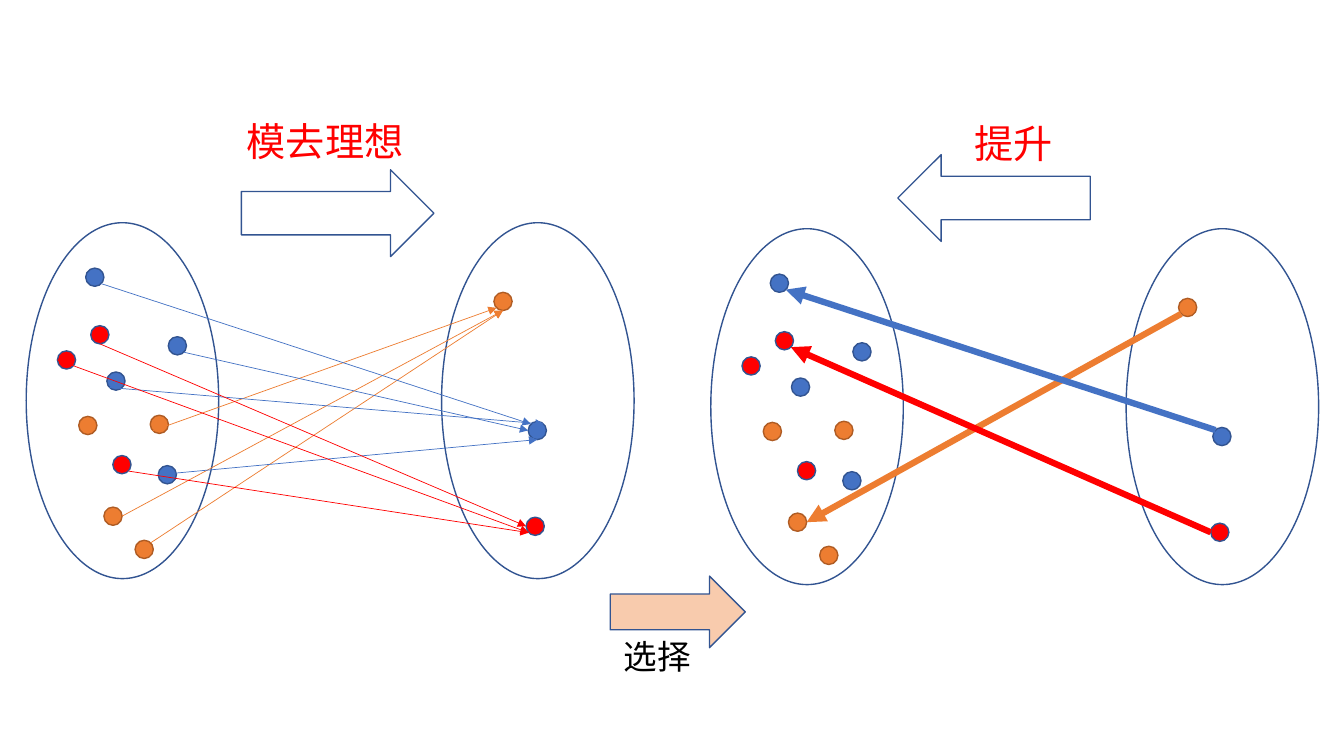
from math import cos, radians, sin

from lxml.etree import SubElement
from pptx import Presentation
from pptx.dml.color import RGBColor
from pptx.enum.shapes import MSO_CONNECTOR as Connector, MSO_SHAPE as Shape
from pptx.enum.text import MSO_ANCHOR as Anchor
from pptx.oxml.ns import qn
from pptx.util import Pt

COLORS = {"blue": "4472C4", "orange": "ED7D31", "red": "FF0000", "peach": "F8CBAD",
          "outline": "325491", "rust": "AF5C24", "black": "000000"}
FONT = "Noto Sans CJK SC"
DOT = 13
SET_SIZE = (137.5, 254.2)
SETS = [(18.7, 159.1), (315.4, 159.1)]
PANELS = {"reduce": (0, 0), "lift": (489, 4.3)}
SOURCES = {
    "blue": [(61.2, 191.5), (113, 332.6), (76.3, 265.7), (120.2, 240.5)],
    "orange": [(96.5, 385.9), (74.2, 362.2), (107.3, 296.6), (56.2, 297.4)],
    "red": [(41, 250.6), (64.8, 232.6), (80.6, 325.4)],
}
TARGETS = {"red": (375.8, 369.4), "blue": (377.3, 301), "orange": (352.8, 208.8)}
ANGLES = {"right": 0, "lower right": 45, "bottom": 90, "lower left": 135,
          "left": 180, "upper left": 225, "upper right": 315}
REDUCE_LINKS = [
    ("orange", 2, "lower left", "lower left"), ("orange", 1, "right", "bottom"),
    ("orange", 0, "upper right", "bottom"), ("blue", 0, "lower right", "upper left"),
    ("blue", 3, "lower right", "left"), ("blue", 2, "lower left", "upper right"),
    ("blue", 1, "left", "bottom"), ("red", 1, "bottom", "left"),
    ("red", 2, "lower right", "lower left"), ("red", 0, "left", "lower left"),
]
LIFT_LINKS = [("orange", 1, "right", "lower left"),
              ("blue", 0, "lower right", "upper left"),
              ("red", 1, "lower right", "left")]
BLOCK_ARROWS = [((210.2, 83.5, 62, 137.5), 270, None),
                ((458.6, 388.8, 51.1, 96.5), 270, "peach"),
                ((679, 72.7, 62, 137.5), 90, None)]
LABELS = [("选择", (438.5, 450.7, 69.1, 36), 24, "black"),
          ("提升", (689, 81.4, 87.1, 41), 28, "red"),
          ("模去理想", (169.2, 79.9, 131, 41), 28, "red")]


def rgb(name):
    return RGBColor.from_string(COLORS[name])


def add_outlined(s, kind, box, fill=None, line="outline", rotation=0):
    sp = s.shapes.add_shape(kind, *map(Pt, box))
    sp.shadow.inherit = False
    sp.rotation = rotation
    sp.line.color.rgb = rgb(line)
    sp.line.width = Pt(1)
    if fill:
        sp.fill.solid()
        sp.fill.fore_color.rgb = rgb(fill)
    else:
        sp.fill.background()


def add_text(s, text, *, box, size, color):
    tf = s.shapes.add_textbox(*map(Pt, box)).text_frame
    tf.word_wrap = True
    tf.vertical_anchor = Anchor.MIDDLE
    r = tf.paragraphs[0].add_run()
    r.text = text
    r.font.size = Pt(size)
    r.font.name = FONT
    r.font.color.rgb = rgb(color)
    SubElement(r.font._element, qn("a:ea"), typeface=FONT)


def add_link(s, start, end, color, width):
    cn = s.shapes.add_connector(Connector.STRAIGHT, *map(Pt, (*start, *end)))
    cn.line.color.rgb = rgb(color)
    cn.line.width = Pt(width)
    SubElement(cn.line._get_or_add_ln(), qn("a:tailEnd"), type="triangle")
    SubElement(cn._element.spPr, qn("a:effectLst"))


def shift(point, offset):
    return point[0] + offset[0], point[1] + offset[1]


def dot_edge(corner, side):
    angle, radius = radians(ANGLES[side]), DOT / 2
    return shift(corner, (radius + radius * cos(angle), radius + radius * sin(angle)))


def add_panel(s, offset, links, width, reverse):
    for corner in SETS:
        add_outlined(s, Shape.OVAL, (*shift(corner, offset), *SET_SIZE))
    dots = [(color, corner) for color, corners in SOURCES.items() for corner in corners]
    for color, corner in dots + list(TARGETS.items()):
        add_outlined(s, Shape.OVAL, (*shift(corner, offset), DOT, DOT), fill=color,
                     line="rust" if color == "orange" else "outline")
    for color, index, source_side, target_side in links:
        ends = [shift(dot_edge(SOURCES[color][index], source_side), offset),
                shift(dot_edge(TARGETS[color], target_side), offset)]
        if reverse:
            ends.reverse()
        add_link(s, *ends, color, width)


def main():
    """Draw the reduction and lifting maps between two pairs of sets."""
    prs = Presentation()
    prs.slide_width, prs.slide_height = Pt(960), Pt(540)
    s = prs.slides.add_slide(prs.slide_layouts[6])
    add_panel(s, PANELS["reduce"], REDUCE_LINKS, 0.5, False)
    add_panel(s, PANELS["lift"], LIFT_LINKS, 4.5, True)
    for box, rotation, fill in BLOCK_ARROWS:
        add_outlined(s, Shape.DOWN_ARROW, box, fill=fill, rotation=rotation)
    for text, box, size, color in LABELS:
        add_text(s, text, box=box, size=size, color=color)
    prs.save("out.pptx")


if __name__ == "__main__":
    main()
